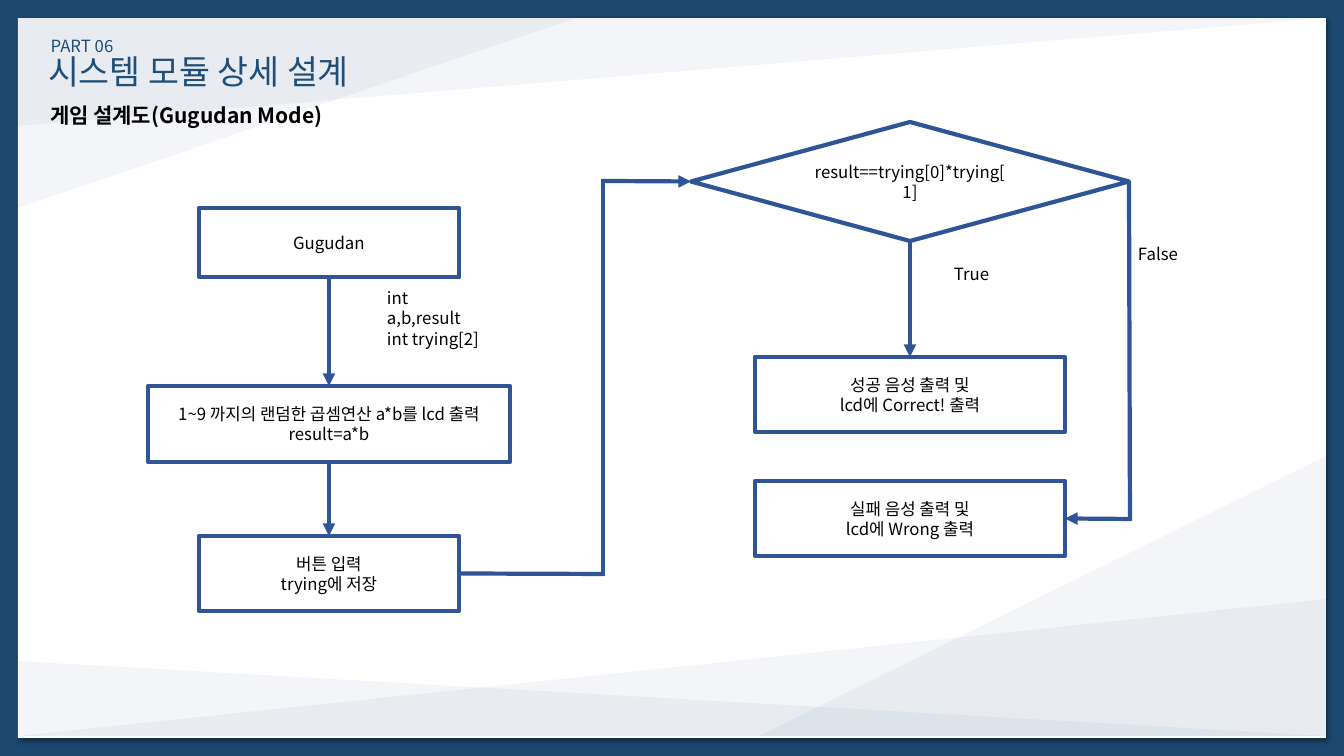
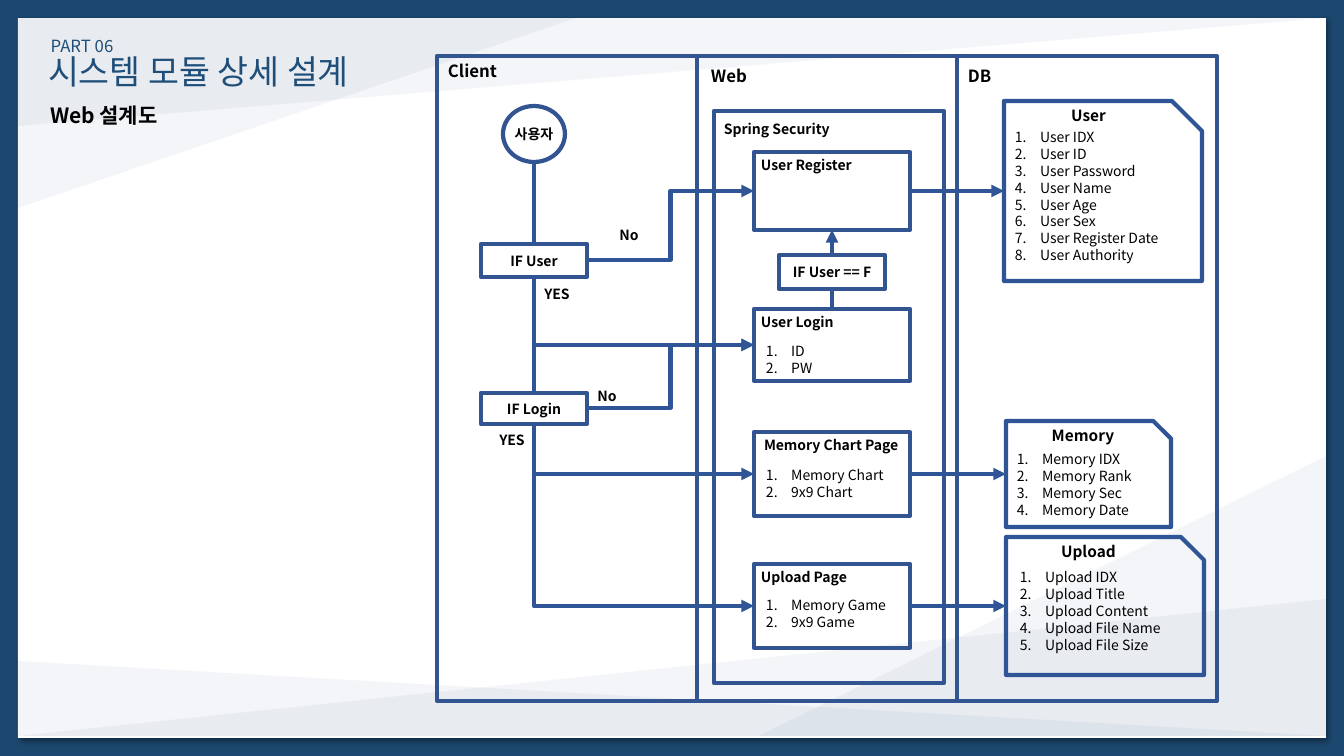
from lxml.etree import SubElement
from pptx import Presentation
from pptx.dml.color import RGBColor
from pptx.enum.shapes import MSO_CONNECTOR as Link, MSO_SHAPE as Preset
from pptx.enum.text import MSO_ANCHOR as Anchor, MSO_AUTO_SIZE as AutoSize, PP_ALIGN as Align
from pptx.oxml.ns import qn
from pptx.util import Pt

WIDTH, HEIGHT = 1344, 756
SCALE = 12192000 / WIDTH
TOP, LEFT, BOTTOM, RIGHT = range(4)
FONT = "Noto Sans CJK KR"
FRAME = RGBColor(0x1C, 0x47, 0x6E)
NAVY = RGBColor(0x1F, 0x4E, 0x79)
BLUE = RGBColor(0x2F, 0x55, 0x97)
OUTLINE = RGBColor(0x32, 0x54, 0x91)
WHITE = RGBColor(0xFF, 0xFF, 0xFF)
BLACK = RGBColor(0, 0, 0)
TRIANGLES = [
    ((18, 599, 1308, 137), "flipH"),
    ((759, 456, 567, 280), "flipH"),
    ((18, 18, 1308, 108), "flipV"),
    ((18, 18, 558, 190), "flipV"),
    ((18, 661, 1308, 75), None),
]


def emu(*lengths):
    return [round(length * SCALE) for length in lengths]


def add_xml(parent, tag, **attributes):
    return SubElement(parent, qn(tag), attributes)


def set_all(target, values):
    for name, value in values.items():
        setattr(target, name, value)


class Deck:
    """Hold the shared style and the slide being drawn."""

    def __init__(self):
        self.presentation = Presentation()
        size = emu(WIDTH, HEIGHT)
        set_all(self.presentation, {"slide_width": size[0], "slide_height": size[1]})
        fill = self.presentation.slide_master.background.fill
        fill.solid()
        fill.fore_color.rgb = FRAME

    def start(self, subtitle):
        layout = self.presentation.slide_layouts[5]
        self.slide = self.presentation.slides.add_slide(layout)
        panel = self.shape(Preset.RECTANGLE, (18, 18, 1308, 720), fill=WHITE, line=None)
        effects = panel.element.spPr.find(qn("a:effectLst"))
        shadow = add_xml(effects, "a:outerShdw", blurRad="50800", dist="38100",
                         dir="2700000", algn="tl", rotWithShape="0")
        color = add_xml(shadow, "a:srgbClr", val="000000")
        add_xml(color, "a:alpha", val="40000")
        for place, flip in TRIANGLES:
            self.triangle(place, flip)
        title = self.slide.shapes.title
        title.element.getparent().append(title.element)
        self.place(title, (38, 46, 407, 50))
        self.fill_text(title, ["시스템 모듈 상세 설계"], size=24, color=NAVY)
        self.text((40, 31, 84, 30), "PART 06", color=NAVY, align=Align.CENTER, wrap=False)
        self.text((40, 98, 333, 35), subtitle, size=15, bold=True)

    def place(self, shape, place):
        set_all(shape, dict(zip(("left", "top", "width", "height"), emu(*place))))

    def fill_text(self, shape, lines, size=12, color=BLACK, bold=False, align=Align.LEFT,
                  anchor=Anchor.TOP, wrap=True, numbered=False):
        frame = shape.text_frame
        across, down = emu(10, 5)
        set_all(frame, {
            "word_wrap": wrap, "auto_size": AutoSize.NONE, "vertical_anchor": anchor,
            "margin_left": across, "margin_right": across,
            "margin_top": down, "margin_bottom": down,
        })
        frame.text = "\n".join(lines)
        for paragraph in frame.paragraphs:
            set_all(paragraph, {"alignment": align, "line_spacing": Pt(size * 1.2),
                                "space_before": Pt(0)})
            if numbered:
                properties = paragraph._p.get_or_add_pPr()
                properties.set("marL", "228600")
                properties.set("indent", "-228600")
                add_xml(properties, "a:buAutoNum", type="arabicPeriod")
            for run in paragraph.runs:
                set_all(run.font, {"name": FONT, "size": Pt(size), "bold": bold})
                run.font.color.rgb = color
                add_xml(run.font._element, "a:ea", typeface=FONT)

    def text(self, place, *lines, **style):
        box = self.slide.shapes.add_textbox(*emu(*place))
        self.fill_text(box, lines, **style)

    def shape(self, preset, place, fill=None, line=OUTLINE):
        shape = self.slide.shapes.add_shape(preset, *emu(*place))
        shape.shadow.inherit = False
        for part, color in ((shape.fill, fill), (shape.line.fill, line)):
            if color is None:
                part.background()
            else:
                part.solid()
                part.fore_color.rgb = color
        if line is not None:
            shape.line.width = Pt(3)
        return shape

    def triangle(self, place, flip):
        triangle = self.shape(Preset.RIGHT_TRIANGLE, place, fill=NAVY, line=None)
        properties = triangle.element.spPr
        if flip:
            properties.find(qn("a:xfrm")).set(flip, "1")
        color = properties.find(qn("a:solidFill")).find(qn("a:srgbClr"))
        add_xml(color, "a:alpha", val="5000")

    def step(self, place, *lines, preset=Preset.RECTANGLE):
        shape = self.shape(preset, place, fill=WHITE, line=BLUE)
        self.fill_text(shape, lines, align=Align.CENTER, anchor=Anchor.MIDDLE)
        return shape

    def node(self, place, name, preset=Preset.RECTANGLE):
        shape = self.shape(preset, place)
        self.fill_text(shape, [name], size=10, bold=True, align=Align.CENTER,
                       anchor=Anchor.MIDDLE, wrap=False)
        return shape

    def page(self, top, height, name, name_left, items, list_top):
        shape = self.shape(Preset.RECTANGLE, (754, top, 156, height))
        self.text((name_left, top, 158, 27), name, size=10, bold=True)
        if items:
            self.text((756, list_top, 158, 44), *items, size=10, numbered=True)
        return shape

    def entity(self, place, name, name_place, items, list_place):
        self.shape(Preset.SNIP_1_RECTANGLE, place, line=BLUE)
        self.text(name_place, name, size=11, bold=True, align=Align.CENTER)
        self.text(list_place, *items, size=10, numbered=True)

    def finish_line(self, connector, arrow):
        connector.line.color.rgb = BLUE
        connector.line.width = Pt(3)
        properties = connector.element.spPr
        if arrow:
            add_xml(properties.find(qn("a:ln")), "a:tailEnd", type="triangle")
        add_xml(properties, "a:effectLst")

    def line(self, begin, end, arrow=False):
        joined = [not isinstance(target[0], int) for target in (begin, end)]
        points = [(0, 0) if join else target for join, target in zip(joined, (begin, end))]
        connector = self.slide.shapes.add_connector(Link.STRAIGHT, *emu(*points[0], *points[1]))
        if joined[0]:
            connector.begin_connect(*begin)
        if joined[1]:
            connector.end_connect(*end)
        self.finish_line(connector, arrow)

    def elbow(self, begin, end, down_first=False):
        (x1, y1), (x2, y2) = begin, end
        if down_first:
            middle_x, middle_y = (x1 + x2) / 2, (y1 + y2) / 2
            half_x, half_y = (y2 - y1) / 2, (x2 - x1) / 2
            x1, x2 = middle_x - half_x, middle_x + half_x
            y1, y2 = middle_y - half_y, middle_y + half_y
        connector = self.slide.shapes.add_connector(Link.ELBOW, *emu(x1, y1, x2, y2))
        if down_first:
            properties = connector.element.spPr
            properties.find(qn("a:xfrm")).set("rot", "16200000")
            properties.find(qn("a:xfrm")).set("flipH", "1")
            properties.find(qn("a:prstGeom")).set("prst", "bentConnector2")
        self.finish_line(connector, True)


def draw_game(deck):
    deck.start("게임 설계도(Gugudan Mode)")
    start = deck.step((199, 208, 260, 69), "Gugudan")
    question = deck.step((148, 386, 362, 76),
                         "1~9 까지의 랜덤한 곱셈연산 a*b를 lcd 출력", "result=a*b")
    answer = deck.step((199, 536, 260, 75), "버튼 입력", "trying에 저장")
    check = deck.step((691, 122, 438, 119), "result==trying[0]*trying[1]",
                      preset=Preset.FLOWCHART_DECISION)
    success = deck.step((755, 357, 310, 75), "성공 음성 출력 및", "lcd에 Correct! 출력")
    failure = deck.step((755, 481, 310, 75), "실패 음성 출력 및", "lcd에 Wrong 출력")
    for upper, lower in ((start, question), (question, answer), (check, success)):
        deck.line((upper, BOTTOM), (lower, TOP), arrow=True)
    deck.line((answer, RIGHT), (603, 574))
    deck.line((603, 576), (603, 179))
    deck.line((603, 181), (check, LEFT), arrow=True)
    deck.line((check, RIGHT), (1130, 521))
    deck.line((1130, 519), (failure, RIGHT), arrow=True)
    deck.text((377, 283, 117, 50), "int a,b,result", "int trying[2]")
    deck.text((944, 259, 161, 30), "True")
    deck.text((1128, 239, 76, 30), "False")


def draw_web(deck):
    deck.start("Web 설계도")
    lanes = [("Client", 438, 56), ("Web", 701, 61), ("DB", 958, 61)]
    for index, (name, left, top) in enumerate(lanes):
        deck.shape(Preset.RECTANGLE, (437 + 260 * index, 56, 260, 645))
        deck.text((left, top, 154, 30), name, bold=True)
    deck.shape(Preset.RECTANGLE, (714, 111, 230, 572))
    deck.text((714, 116, 230, 28), "Spring Security", size=10, bold=True)

    register = deck.page(152, 78, "User Register", 751, [], 0)
    login = deck.page(309, 72, "User Login", 751, ["ID", "PW"], 338)
    chart = deck.page(432, 84, "Memory Chart Page", 754, ["Memory Chart", "9x9 Chart"], 462)
    upload = deck.page(564, 84, "Upload Page", 751, ["Memory Game", "9x9 Game"], 592)

    fields = ["IDX", "ID", "Password", "Name", "Age", "Sex", "Register Date", "Authority"]
    entities = [
        ("User", fields, (1004, 101, 198, 180), (1001, 101, 175, 29), (1005, 124, 194, 146)),
        ("Memory", ["IDX", "Rank", "Sec", "Date"],
         (1006, 421, 165, 106), (1006, 421, 154, 29), (1007, 446, 157, 78)),
        ("Upload", ["IDX", "Title", "Content", "File Name", "File Size"],
         (1006, 537, 198, 138), (1006, 537, 165, 29), (1010, 564, 194, 95)),
    ]
    for name, columns, place, name_place, list_place in entities:
        items = [f"{name} {column}" for column in columns]
        deck.entity(place, name, name_place, items, list_place)

    deck.node((503, 106, 62, 56), "사용자", Preset.FLOWCHART_CONNECTOR)
    if_user = deck.node((481, 244, 106, 33), "IF User")
    if_login = deck.node((481, 393, 106, 31), "IF Login")
    if_failed = deck.node((779, 255, 106, 34), "IF User == F")
    deck.line((534, 162), (if_user, TOP))
    deck.line((if_user, BOTTOM), (if_login, TOP))
    deck.line((login, TOP), (if_failed, BOTTOM))
    deck.line((if_failed, TOP), (register, BOTTOM), arrow=True)
    for page, end in ((register, (1004, 191)), (chart, (1006, 474)), (upload, (1006, 606))):
        deck.line((page, RIGHT), end, arrow=True)
    for begin_y, end_y in ((277, 345), (424, 474), (424, 606)):
        deck.elbow((534, begin_y), (754, end_y), down_first=True)
    for begin_y, end_y in ((260, 191), (408, 345)):
        deck.elbow((587, begin_y), (754, end_y))
    for answer, left, top in (("YES", 533, 281), ("No", 605, 222),
                              ("YES", 488, 427), ("No", 583, 383)):
        deck.text((left, top, 48, 27), answer, size=10, bold=True,
                  align=Align.CENTER, wrap=False)


def main():
    deck = Deck()
    draw_game(deck)
    draw_web(deck)
    deck.presentation.save("out.pptx")


if __name__ == "__main__":
    main()
